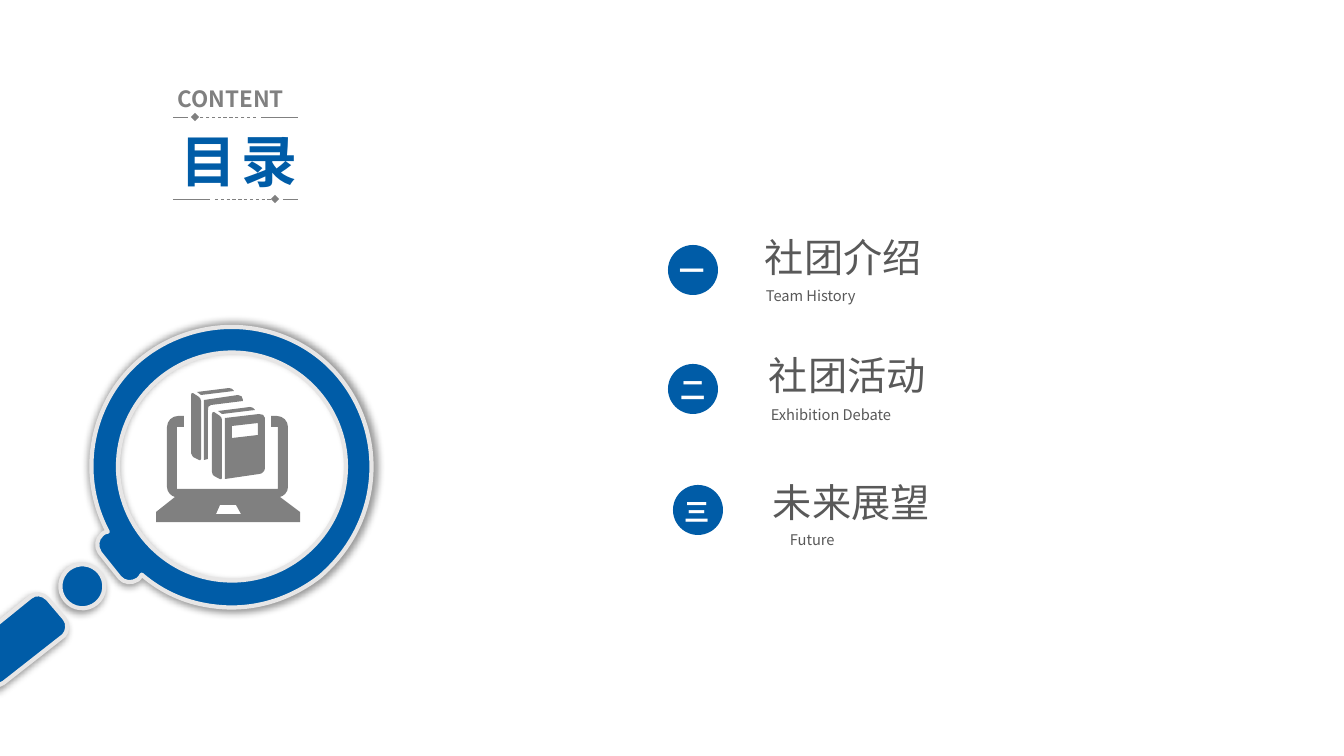
import math

from lxml import etree
from pptx import Presentation
from pptx import util as u
from pptx.dml.color import RGBColor
from pptx.enum import dml, shapes, text
from pptx.oxml.ns import qn

PX = 12192000 / 1344
FONT = "Noto Sans CJK SC"
BLUE, GREY, DARK, PALE, WHITE = "005CA7", "808080", "595959", "E7E6E6", "FFFFFF"

TILT = 6.1
PIVOT = (175, 513)
HANDLE = [(-27, 644), (-32, 648, -33, 656, -28, 661), (-13, 681),
          (-8, 686, -1, 687, 4, 683), (64, 636), (68, 632, 69, 624, 65, 619),
          (48, 599), (43, 594, 36, 593, 31, 597), (-27, 644)]
RING = [(217, 607), (254, 611, 290, 600, 320, 577), (349, 552, 367, 519, 371, 482),
        (375, 445, 364, 408, 341, 379), (318, 350, 284, 332, 247, 328),
        (210, 324, 172, 335, 143, 358), (91, 400, 77, 474, 108, 532),
        (106, 532, 104, 533, 103, 534), (102, 535), (97, 539, 96, 547, 100, 553),
        (120, 578), (124, 583, 132, 584, 138, 580), (139, 579),
        (140, 578, 141, 577, 142, 575), (163, 593, 188, 604, 217, 607)]
BOOK_TOP = [(197, 392), (201, 395), (234, 391), (233, 389, 231, 388, 229, 388)]
BOOK_SPINE = [(193, 393), (199, 397), (200, 398, 201, 399, 201, 401), (201, 459),
              (201, 460, 200, 461, 199, 460), (193, 457),
              (192, 456, 191, 455, 191, 453), (191, 395),
              (191, 393, 192, 393, 193, 393)]
BACK_COVER = [(204, 400), (238, 395), (241, 395, 243, 397, 243, 400), (243, 401),
              (211, 405), (208, 406, 208, 407, 208, 410), (208, 459), (204, 460)]
FRONT_COVER = [(225, 418), (259, 414), (262, 414, 265, 415, 265, 418), (265, 468),
               (265, 471, 262, 474, 259, 474), (225, 479)]
LABEL = [(232, 426), (258, 423), (258, 435), (232, 438)]
TOUCHPAD = [(220, 505), (236, 505), (241, 514), (216, 514)]
LAPTOP = [(177, 427), (184, 427), (184, 416), (178, 416),
          (172, 416, 167, 421, 167, 427), (167, 487),
          (167, 492, 171, 496, 175, 497), (156, 512), (156, 522), (300, 522),
          (300, 512), (280, 497), (284, 496, 288, 492, 288, 487), (288, 427),
          (288, 421, 283, 416, 277, 416), (271, 416), (271, 427), (278, 427),
          (278, 489), (177, 489)]

CHAPTERS = [
    ("一", (668, 245), (670, 250), "社团介绍", (755, 228), "Team History", (756, 282), 113),
    ("二", (668, 364), (671, 369), "社团活动", (759, 346), "Exhibition Debate", (761, 401), 145),
    ("三", (673, 485), (675, 491), "未来展望", (763, 473), "Future", (780, 526), 67),
]


def px(n):
    return u.Emu(round(n * PX))


def rgb(color):
    return RGBColor.from_string(color)


def add_text(s, words, x, y, w, h, size, color, bold=False, align=None, wrap=True, spacing=0):
    tf = s.shapes.add_textbox(px(x), px(y), px(w), px(h)).text_frame
    tf.word_wrap = wrap
    tf.auto_size = text.MSO_AUTO_SIZE.SHAPE_TO_FIT_TEXT
    tf.text = words
    p = tf.paragraphs[0]
    p.alignment = align
    r = p.runs[0]
    r.font.size = u.Pt(size)
    r.font.bold = bold
    r.font.name = FONT
    r.font.color.rgb = rgb(color)
    rpr = r.font._element
    etree.SubElement(rpr, qn("a:ea"), typeface=FONT)
    if spacing:
        rpr.set("spc", str(spacing * 100))


def add_line(s, x1, x2, y, dashed=False):
    c = s.shapes.add_connector(shapes.MSO_CONNECTOR.STRAIGHT, px(x1), px(y), px(x2), px(y))
    c.line.color.rgb = rgb(GREY)
    c.line.width = u.Pt(0.6)
    if dashed:
        c.line.dash_style = dml.MSO_LINE.DASH
        etree.SubElement(c.line._get_or_add_ln(), qn("a:tailEnd"), type="diamond")
    etree.SubElement(c._element.spPr, qn("a:effectLst"))


def paint(sp, color):
    sp.shadow.inherit = False
    sp.fill.solid()
    sp.fill.fore_color.rgb = rgb(color)
    sp.line.fill.background()


def add_disc(s, x, y, d, color):
    paint(s.shapes.add_shape(shapes.MSO_SHAPE.OVAL, px(x), px(y), px(d), px(d)), color)


def pairs(step):
    return list(zip(step[::2], step[1::2]))


def shift(contour, dx, dy):
    return [tuple(v for x, y in pairs(step) for v in (x + dx, y + dy)) for step in contour]


def turn(contour, degrees):
    cos, sin = math.cos(math.radians(degrees)), math.sin(math.radians(degrees))
    cx, cy = PIVOT
    return [tuple(v for x, y in pairs(step)
                  for v in (cx + (x - cx) * cos - (y - cy) * sin,
                            cy + (x - cx) * sin + (y - cy) * cos))
            for step in contour]


def circle(cx, cy, radius):
    k = radius * 0.55
    quarters = [(radius, 0, radius, k, k, radius, 0, radius),
                (-k, radius, -radius, k, -radius, 0),
                (-radius, -k, -k, -radius, 0, -radius),
                (k, -radius, radius, -k, radius, 0)]
    start, first = quarters[0][:2], quarters[0][2:]
    return turn(shift([start, first, *quarters[1:]], cx, cy), TILT)


def add_outline(s, contours, color):
    ends = [[(px(step[-2]), px(step[-1])) for step in c] for c in contours]
    builder = s.shapes.build_freeform(*ends[0][0])
    builder.add_line_segments(ends[0][1:])
    for points in ends[1:]:
        builder.move_to(*points[0])
        builder.add_line_segments(points[1:])
    sp = builder.convert_to_shape()
    segments = list(sp._element.spPr.iter(qn("a:lnTo")))
    steps = [step for c in contours for step in c[1:]]
    for segment, step in zip(segments, steps):
        if len(step) == 6:
            curve = etree.Element(qn("a:cubicBezTo"))
            for x, y in pairs(step):
                etree.SubElement(curve, qn("a:pt"), x=str(px(x) - sp.left), y=str(px(y) - sp.top))
            segment.getparent().replace(segment, curve)
    paint(sp, color)
    return sp


def add_glow_edge(sp):
    sp.line.color.rgb = rgb(PALE)
    sp.line.width = u.Pt(3)
    effects = sp._element.spPr.find(qn("a:effectLst"))
    shadow = etree.SubElement(effects, qn("a:outerShdw"), blurRad=str(u.Pt(5)),
                              sx="102000", sy="102000", algn="ctr", rotWithShape="0")
    tint = etree.SubElement(shadow, qn("a:srgbClr"), val="000000")
    etree.SubElement(tint, qn("a:alpha"), val="40000")


def add_heading(s):
    add_line(s, 298, 261, 117)
    add_line(s, 256, 195, 117, dashed=True)
    add_line(s, 188, 173, 117)
    add_text(s, "目录", 147, 122, 184, 78, 40, BLUE, True, text.PP_ALIGN.CENTER, spacing=3)
    add_line(s, 173, 210, 199)
    add_line(s, 215, 275, 199, dashed=True)
    add_line(s, 283, 298, 199)
    add_text(s, "CONTENT", 168, 80, 137, 37, 16, GREY, True, text.PP_ALIGN.JUSTIFY)


def add_chapter(s, number, disc, number_at, title, title_at, subtitle, subtitle_at, width):
    add_text(s, title, *title_at, 178, 57, 28, DARK, wrap=False)
    add_text(s, subtitle, *subtitle_at, width, 29, 10.5, DARK, wrap=False)
    add_disc(s, *disc, 50, BLUE)
    add_text(s, number, *number_at, 43, 40, 18, WHITE, True, text.PP_ALIGN.JUSTIFY)


def add_magnifier(s):
    lens = circle(227, 461, 114)
    joint = circle(91, 596, 22)
    upright = [turn(HANDLE, -TILT), turn(RING, -TILT)]
    upright += [turn(c, -TILT) for c in (lens, joint)]
    sp = add_outline(s, upright, BLUE)
    sp.rotation = TILT
    add_glow_edge(sp)


def add_library(s):
    books = [shift(part, *offset) for offset in ((0, 0), (21, 19))
             for part in (BOOK_TOP, BOOK_SPINE)]
    add_outline(s, [LAPTOP, TOUCHPAD, *books, BACK_COVER, FRONT_COVER, LABEL], GREY)


def main():
    prs = Presentation()
    prs.slide_width, prs.slide_height = px(1344), px(756)
    s = prs.slides.add_slide(prs.slide_layouts[6])
    add_heading(s)
    for chapter in CHAPTERS:
        add_chapter(s, *chapter)
    add_magnifier(s)
    add_library(s)
    prs.save("out.pptx")


if __name__ == "__main__":
    main()
